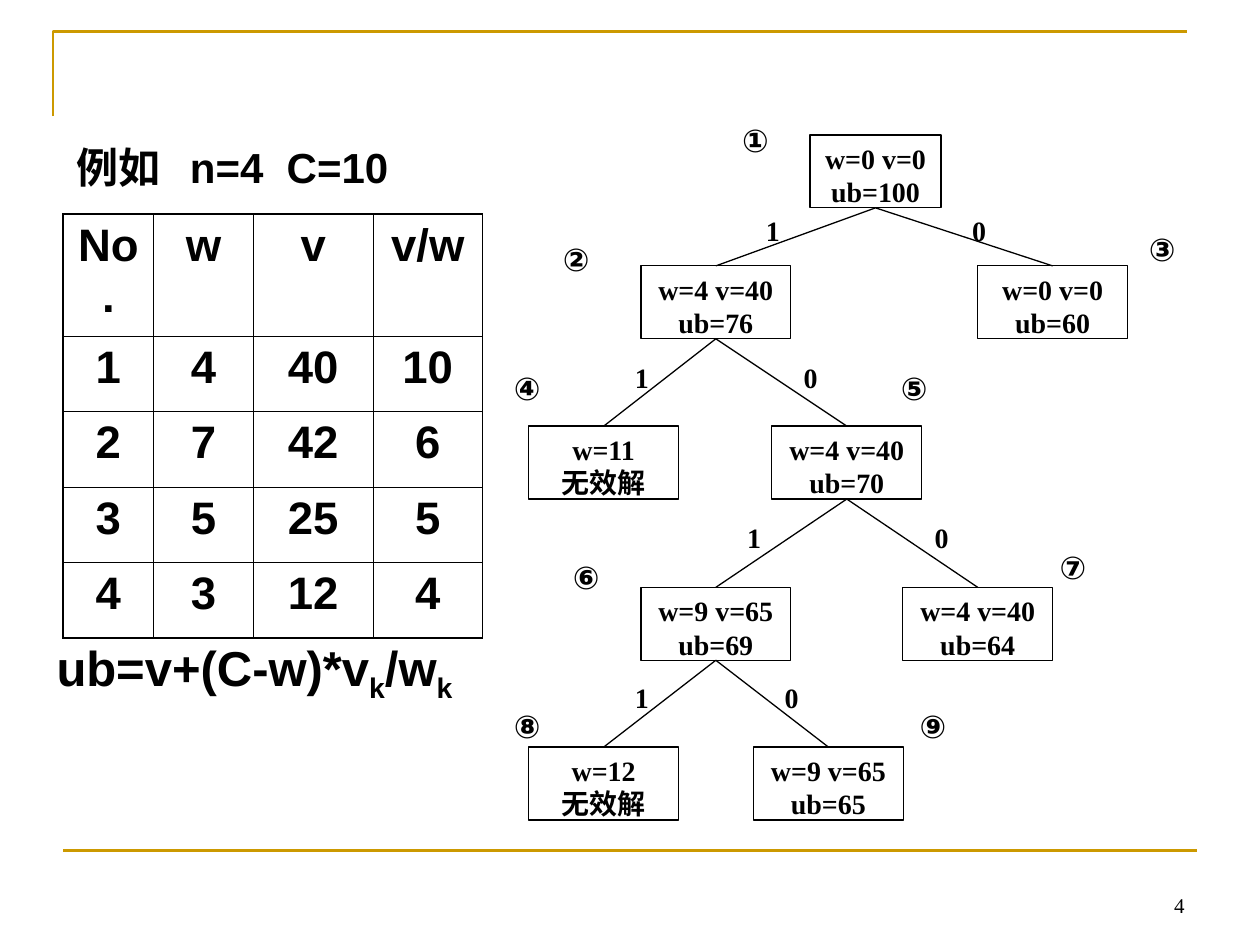
from lxml import etree
from pptx import Presentation
from pptx import util as u
from pptx.dml.color import RGBColor
from pptx.enum import shapes, text
from pptx.oxml.ns import qn

BLACK, WHITE, GOLD = "000000", "FFFFFF", "CC9900"
SANS, SERIF = "Arial", "Times New Roman"
ALIGN = text.PP_ALIGN

NODE_W, ROOT_W, NODE_H = 3.02, 2.64, 1.47
LEVELS = [2.72, 5.36, 8.59, 11.84, 15.06]
LABEL_TOPS = [4.19, 7.14, 10.36, 13.59]

# number: (level, centre x, lines, left and top of the number mark)
NODES = {
    "①": (0, 17.65, ("w=0 v=0", "ub=100"), (14.71, 2.31)),
    "②": (1, 14.43, ("w=4 v=40", "ub=76"), (11.10, 4.72)),
    "③": (1, 21.22, ("w=0 v=0", "ub=60"), (22.91, 4.52)),
    "④": (2, 12.17, ("w=11", "无效解"), (10.11, 7.32)),
    "⑤": (2, 17.07, ("w=4 v=40", "ub=70"), (17.91, 7.32)),
    "⑥": (3, 14.43, ("w=9 v=65", "ub=69"), (11.30, 11.13)),
    "⑦": (3, 19.71, ("w=4 v=40", "ub=64"), (21.11, 10.92)),
    "⑧": (4, 12.17, ("w=12", "无效解"), (10.11, 14.12)),
    "⑨": (4, 16.70, ("w=9 v=65", "ub=65"), (18.29, 14.12)),
}
# parent, child, branch label, left of the label
EDGES = [
    ("①", "②", "1", 15.19), ("①", "③", "0", 19.35),
    ("②", "④", "1", 12.55), ("②", "⑤", "0", 15.95),
    ("⑤", "⑥", "1", 14.81), ("⑤", "⑦", "0", 18.59),
    ("⑥", "⑧", "1", 12.55), ("⑥", "⑨", "0", 15.57),
]
ITEMS = [
    ("No.", "w", "v", "v/w"),
    ("1", "4", "40", "10"),
    ("2", "7", "42", "6"),
    ("3", "5", "25", "5"),
    ("4", "3", "12", "4"),
]


def color(value):
    """Turn a hex string into a colour."""
    return RGBColor.from_string(value)


def set_line(line, value, width):
    """Set the colour and width of an outline."""
    line.color.rgb = color(value)
    line.width = u.Pt(width)


def add_run(p, value, size, font=SANS, bold=True):
    """Append one formatted run to a paragraph."""
    r = p.add_run()
    r.text = value
    r.font.name, r.font.size, r.font.bold = font, u.Pt(size), bold
    r.font.color.rgb = color(BLACK)
    return r


def add_text(parent, left, top, width, height, before=0, fit=False):
    """Add an empty text box and return its first paragraph."""
    sp = parent.add_textbox(u.Cm(left), u.Cm(top), u.Cm(width), u.Cm(height))
    tf = sp.text_frame
    tf.word_wrap = True
    if fit:
        tf.auto_size = text.MSO_AUTO_SIZE.SHAPE_TO_FIT_TEXT
    p = tf.paragraphs[0]
    p.space_before = u.Pt(before)
    return p


def add_line(parent, x1, y1, x2, y2, value=BLACK, width=0.74):
    """Add a straight line without a shadow."""
    sp = parent.add_connector(shapes.MSO_CONNECTOR.STRAIGHT,
                              u.Cm(x1), u.Cm(y1), u.Cm(x2), u.Cm(y2))
    set_line(sp.line, value, width)
    etree.SubElement(sp._element.spPr, qn("a:effectLst"))


def add_frame(s):
    """Draw the gold corner at the top and the rule at the bottom."""
    builder = s.shapes.build_freeform(u.Cm(1.07), u.Cm(2.34))
    builder.add_line_segments([(u.Cm(1.07), u.Cm(0.64)),
                               (u.Cm(23.93), u.Cm(0.64))], close=False)
    sp = builder.convert_to_shape()
    sp.shadow.inherit = False
    sp.fill.background()
    set_line(sp.line, GOLD, 1.5)
    add_line(s.shapes, 1.27, 17.15, 24.13, 17.15, GOLD, 1.5)


def add_node(parent, level, center, lines):
    """Add one box of the search tree."""
    width = NODE_W if level else ROOT_W
    sp = parent.add_shape(shapes.MSO_SHAPE.RECTANGLE,
                          u.Cm(center - width / 2), u.Cm(LEVELS[level]),
                          u.Cm(width), u.Cm(NODE_H))
    sp.shadow.inherit = False
    sp.fill.solid()
    sp.fill.fore_color.rgb = color(WHITE)
    set_line(sp.line, BLACK, 0.74)
    tf = sp.text_frame
    tf.word_wrap = True
    tf.vertical_anchor = text.MSO_ANCHOR.TOP
    for i, value in enumerate(lines):
        p = tf.add_paragraph() if i else tf.paragraphs[0]
        p.alignment = ALIGN.CENTER
        add_run(p, value, 16, SERIF)


def add_tree(s):
    """Add the boxes, branches and branch labels as one group."""
    group = s.shapes.add_group_shape().shapes
    for level, center, lines, _ in NODES.values():
        add_node(group, level, center, lines)
    for parent, child, _, _ in EDGES:
        (up, x1), (down, x2) = NODES[parent][:2], NODES[child][:2]
        add_line(group, x1, LEVELS[up] + NODE_H, x2, LEVELS[down])
    for parent, _, label, left in EDGES:
        p = add_text(group, left, LABEL_TOPS[NODES[parent][0]], 0.76, 0.89)
        p.alignment = ALIGN.JUSTIFY
        add_run(p, label, 16, SERIF)


def add_numbers(s):
    """Put the circled number beside each box."""
    for number, (_, _, _, (left, top)) in NODES.items():
        width = 1.19 if number == "①" else 1.4
        add_run(add_text(s.shapes, left, top, width, 1.02, 11.2, True), number, 18)


def set_borders(cell, widths):
    """Set the border widths of a cell, keyed by side."""
    tcPr = cell._tc.get_or_add_tcPr()
    for side in "LRTB":
        ln = etree.SubElement(tcPr, qn("a:ln" + side), w=str(u.Pt(widths[side])))
        fill = etree.SubElement(ln, qn("a:solidFill"))
        etree.SubElement(fill, qn("a:srgbClr"), val=BLACK)


def add_items(s):
    """Add the table of weights and values."""
    n_rows, n_cols = len(ITEMS), len(ITEMS[0])
    table = s.shapes.add_table(n_rows, n_cols, u.Cm(1.27), u.Cm(4.32),
                               u.Cm(8.46), u.Cm(7.44)).table
    table.first_row = table.horz_banding = False
    for column, width in zip(table.columns, (1.83, 2.01, 2.41, 2.21)):
        column.width = u.Cm(width)
    for i, row in enumerate(ITEMS):
        table.rows[i].height = u.Cm(1.52 if i else 1.35)
        for j, value in enumerate(row):
            cell = table.cell(i, j)
            outer = {"L": j == 0, "R": j == n_cols - 1,
                     "T": i == 0, "B": i == n_rows - 1}
            set_borders(cell, {k: 1.08 if v else 0.45 for k, v in outer.items()})
            cell.fill.background()
            p = cell.text_frame.paragraphs[0]
            p.alignment = ALIGN.CENTER
            p.space_before = u.Pt(6.5)
            add_run(p, value, 26)


def add_example(s):
    """Add the heading of the example, spaced with tab stops."""
    p = add_text(s.shapes, 1.3, 2.72, 8.79, 1.27, 15, True)
    tabs = etree.SubElement(p._p.get_or_add_pPr(), qn("a:tabLst"))
    for stop in (2.28, 4.23):
        etree.SubElement(tabs, qn("a:tab"), pos=str(u.Cm(stop)), algn="l")
    add_run(p, "例如\tn=4\tC=10", 24)


def add_bound(s):
    """Add the formula of the upper bound with its subscripts."""
    p = add_text(s.shapes, 0.89, 12.73, 8.99, 1.6, 17.5, True)
    for value, base in (("ub=v+(C-w)*v", 0), ("k", -25), ("/w", 0), ("k", -25)):
        r = add_run(p, value, 28)
        if base:
            r._r.get_or_add_rPr().set("baseline", str(base * 1000))


def add_page_number(s):
    """Add the page number at the bottom right."""
    p = add_text(s.shapes, 18.21, 17.35, 5.92, 1.27)
    p.alignment = ALIGN.RIGHT
    add_run(p, "4", 12, SERIF, False)
    p._p.getparent().find(qn("a:bodyPr")).set("anchor", "b")


def main():
    """Build the slide and save it."""
    prs = Presentation()
    prs.slide_width, prs.slide_height = u.Cm(25.4), u.Cm(19.05)
    s = prs.slides.add_slide(prs.slide_layouts[6])
    for add in (add_frame, add_tree, add_items, add_example,
                add_numbers, add_bound, add_page_number):
        add(s)
    prs.save("out.pptx")


main()
